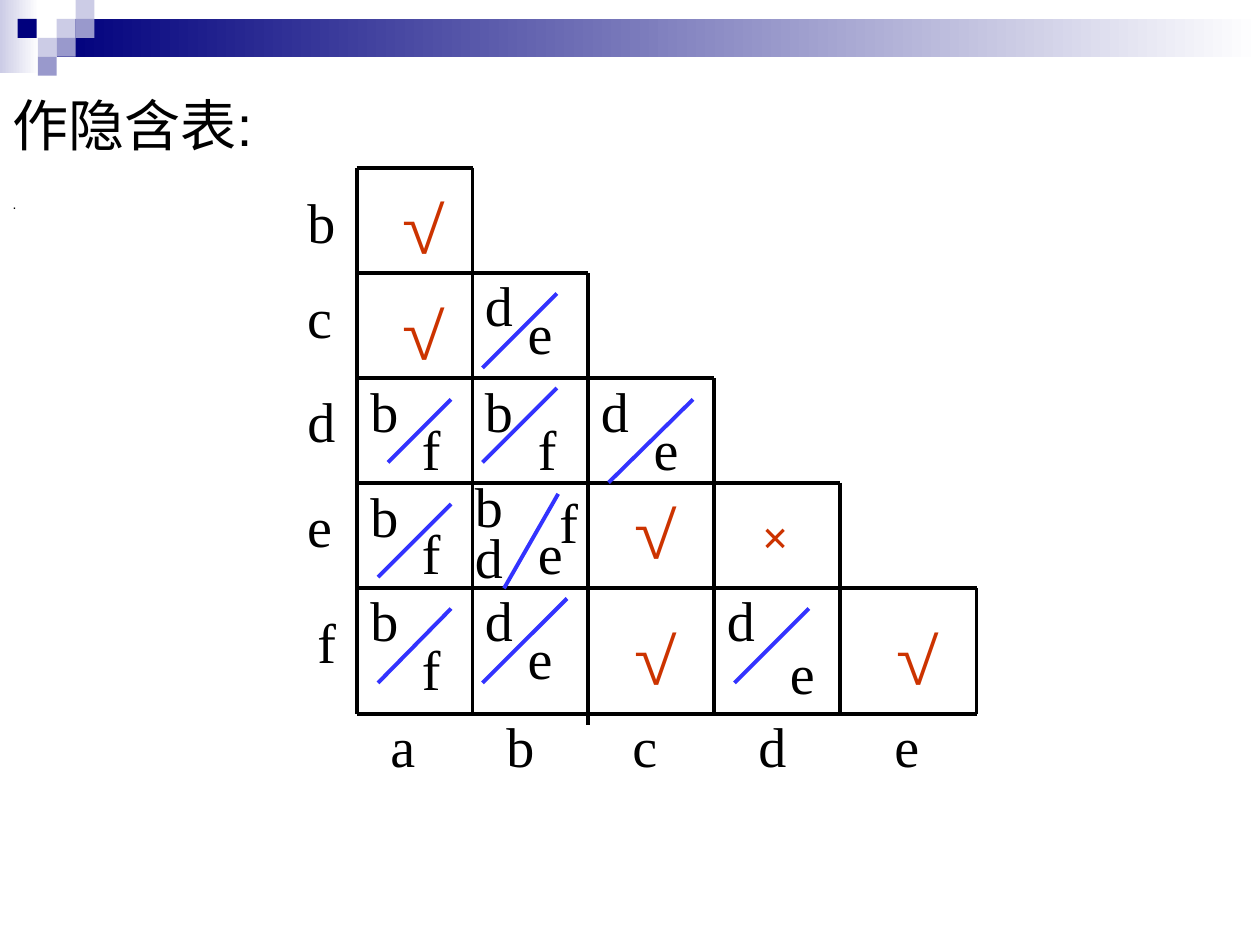
from dataclasses import dataclass

from lxml import etree
from pptx import Presentation
from pptx.dml.color import RGBColor
from pptx.enum.shapes import MSO_CONNECTOR, MSO_SHAPE
from pptx.enum.text import MSO_ANCHOR, MSO_AUTO_SIZE, PP_ALIGN
from pptx.oxml.ns import qn
from pptx.util import Inches, Pt

STRAIGHT = MSO_CONNECTOR.STRAIGHT
RECTANGLE = MSO_SHAPE.RECTANGLE
MIDDLE, TOP = MSO_ANCHOR.MIDDLE, MSO_ANCHOR.TOP
LEFT = PP_ALIGN.LEFT
NO_FIT, GROW = MSO_AUTO_SIZE.NONE, MSO_AUTO_SIZE.SHAPE_TO_FIT_TEXT

COLORS = {
    "ink": "000000",
    "verdict": "CC3300",
    "slash": "3333FF",
    "white": "FFFFFF",
    "navy": "00007D",
    "lavender": "CCCCE6",
    "violet": "9999CC",
}
LETTER_FONT, VERDICT_FONT, HEADING_FONT = "Times New Roman", "Montserrat", "Arial"
SYMBOL_WIDTHS = {"a": 0.4, "b": 0.42, "c": 0.4, "d": 0.42, "e": 0.4, "f": 0.35,
                 "√": 0.48, "×": 0.45}
SYMBOL_HEIGHT = 0.64
TILE = 0.15

COLUMN_EDGES = [2.83, 3.75, 4.67, 5.67, 6.67, 7.75]
ROW_EDGES = [1.33, 2.17, 3, 3.83, 4.67, 5.67]
OVERHANG = {2: 0.08}  # the third vertical rule runs past the table's foot


@dataclass
class Symbol:
    text: str
    left: float
    top: float


@dataclass
class Implication:
    """State pairs on either side of a slash, which runs from upper right to lower left."""
    letters: list[Symbol]
    upper: tuple[float, float]
    lower: tuple[float, float]


@dataclass
class Tile:
    left: float
    top: float
    color: str


TILES = [
    Tile(0.45, 0.15, "lavender"), Tile(0.6, 0, "lavender"), Tile(0.6, 0.15, "violet"),
    Tile(0.3, 0.3, "lavender"), Tile(0.14, 0.15, "navy"), Tile(0.45, 0.3, "violet"),
    Tile(0.3, 0.45, "violet"),
]
COLUMN_LABELS = [Symbol(state, left, 5.6)
                 for state, left in zip("abcde", [3, 3.92, 4.92, 5.92, 7])]
ROW_LABELS = [Symbol(state, 2.42 if state == "f" else 2.34, top)
              for state, top in zip("bcdef", [1.44, 2.19, 3.02, 3.85, 4.77])]
VERDICTS = [
    Symbol("√", 3.08, 1.44), Symbol("√", 3.08, 2.28), Symbol("√", 4.92, 4.86),
    Symbol("√", 4.92, 3.86), Symbol("√", 7, 4.86), Symbol("×", 5.93, 3.94),
]
IMPLICATIONS = [
    Implication([Symbol("b", 2.84, 2.94), Symbol("f", 3.25, 3.24)], (3.58, 3.17), (3.08, 3.67)),
    Implication([Symbol("b", 2.84, 3.77), Symbol("f", 3.25, 4.07)], (3.58, 4), (3, 4.58)),
    Implication([Symbol("b", 2.84, 4.6), Symbol("f", 3.25, 4.99)], (3.58, 4.83), (3, 5.42)),
    Implication([Symbol("d", 3.75, 2.1), Symbol("e", 4.09, 2.32)], (4.42, 2.33), (3.83, 2.92)),
    Implication([Symbol("b", 3.75, 2.94), Symbol("f", 4.17, 3.24)], (4.42, 3.08), (3.83, 3.67)),
    Implication([Symbol("b", 3.67, 3.69), Symbol("f", 4.34, 3.82),
                 Symbol("d", 3.67, 4.1), Symbol("e", 4.17, 4.07)], (4.43, 3.92), (4, 4.67)),
    Implication([Symbol("d", 3.75, 4.6), Symbol("e", 4.09, 4.9)], (4.5, 4.75), (3.83, 5.42)),
    Implication([Symbol("d", 4.67, 2.94), Symbol("e", 5.09, 3.24)], (5.5, 3.17), (4.83, 3.83)),
    Implication([Symbol("d", 5.67, 4.6), Symbol("e", 6.17, 5.02)], (6.42, 4.83), (5.83, 5.42)),
]


def rgb(name: str) -> RGBColor:
    return RGBColor.from_string(COLORS[name])


def add_block(slide, left: float, top: float, width: float, height: float, *colors: str) -> None:
    """Draw a borderless rectangle; two colours make a left-to-right gradient."""
    block = slide.shapes.add_shape(RECTANGLE, Inches(left), Inches(top),
                                   Inches(width), Inches(height))
    block.shadow.inherit = False
    block.line.fill.background()
    if len(colors) == 1:
        block.fill.solid()
        block.fill.fore_color.rgb = rgb(colors[0])
        return
    block.fill.gradient()
    block.fill.gradient_angle = 0
    for stop, color in zip(block.fill.gradient_stops, colors):
        stop.color.rgb = rgb(color)


def add_rule(slide, start: tuple[float, float], end: tuple[float, float], color: str) -> None:
    rule = slide.shapes.add_connector(STRAIGHT, *map(Inches, start + end))
    rule.line.color.rgb = rgb(color)
    rule.line.width = Pt(2.25)
    etree.SubElement(rule.element.spPr, qn("a:effectLst"))


def set_font(paragraph, name: str, size: float, color: str) -> None:
    paragraph.font.name = name
    paragraph.font.size = Pt(size)
    paragraph.font.color.rgb = rgb(color)


def add_symbol(slide, symbol: Symbol, font: str = LETTER_FONT, color: str = "ink") -> None:
    box = slide.shapes.add_textbox(Inches(symbol.left), Inches(symbol.top),
                                   Inches(SYMBOL_WIDTHS[symbol.text]), Inches(SYMBOL_HEIGHT))
    frame = box.text_frame
    frame.word_wrap = False
    frame.auto_size = GROW
    frame.text = symbol.text
    set_font(frame.paragraphs[0], font, 32, color)


def fill_placeholder(holder, text: str, bounds: tuple[float, float, float, float],
                     size: float, anchor) -> None:
    holder.left, holder.top, holder.width, holder.height = map(Inches, bounds)
    frame = holder.text_frame
    frame.text = text
    frame.auto_size = NO_FIT
    frame.vertical_anchor = anchor
    paragraph = frame.paragraphs[0]
    paragraph.alignment = LEFT
    paragraph.space_before = Pt(0)
    properties = paragraph._p.get_or_add_pPr()
    properties.set("marL", "0")
    properties.set("indent", "0")
    etree.SubElement(properties, qn("a:buNone"))
    set_font(paragraph, HEADING_FONT, size, "ink")


def add_banner(slide) -> None:
    add_block(slide, 0, 0, 0.31, 0.58, "lavender", "white")
    add_block(slide, 0.45, 0.15, 9.55, 0.3, "navy", "white")
    for tile in TILES:
        add_block(slide, tile.left, tile.top, TILE, TILE, tile.color)


def add_staircase(slide) -> None:
    last = len(COLUMN_EDGES) - 1
    for index, (x, y) in enumerate(zip(COLUMN_EDGES, ROW_EDGES)):
        right = COLUMN_EDGES[min(index + 1, last)]
        top = ROW_EDGES[max(index - 1, 0)]
        foot = ROW_EDGES[last] + OVERHANG.get(index, 0)
        add_rule(slide, (COLUMN_EDGES[0], y), (right, y), "ink")
        add_rule(slide, (x, top), (x, foot), "ink")


def main() -> None:
    presentation = Presentation()
    presentation.slide_width, presentation.slide_height = Inches(10), Inches(7.5)
    slide = presentation.slides.add_slide(presentation.slide_layouts[1])
    fill_placeholder(slide.shapes.title, ".", (0, 1.5, 8.5, 0.23), 8, MIDDLE)
    fill_placeholder(slide.placeholders[1], "作隐含表:", (0, 0.67, 2.31, 0.67), 32, TOP)
    add_banner(slide)
    add_staircase(slide)
    for label in COLUMN_LABELS + ROW_LABELS:
        add_symbol(slide, label)
    for verdict in VERDICTS:
        add_symbol(slide, verdict, VERDICT_FONT, "verdict")
    for implication in IMPLICATIONS:
        for letter in implication.letters:
            add_symbol(slide, letter)
        add_rule(slide, implication.upper, implication.lower, "slash")
    presentation.save("out.pptx")


if __name__ == "__main__":
    main()
